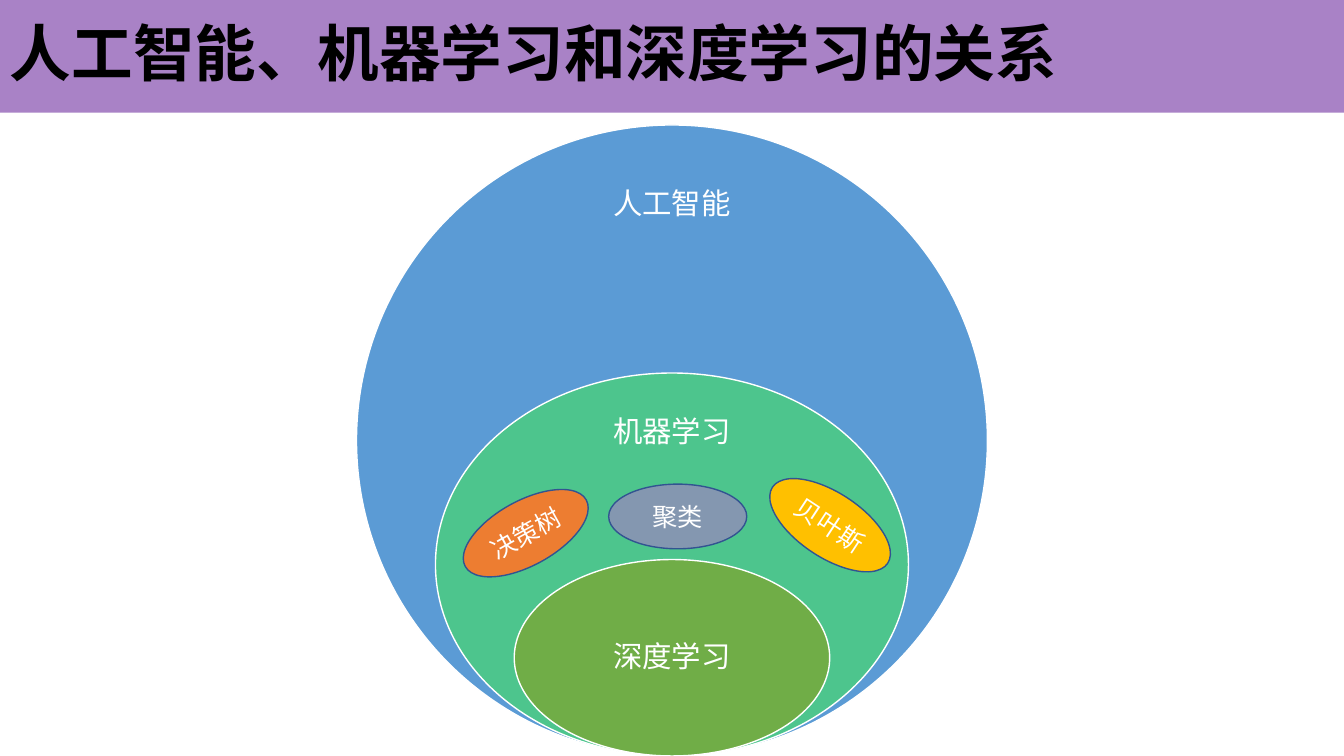
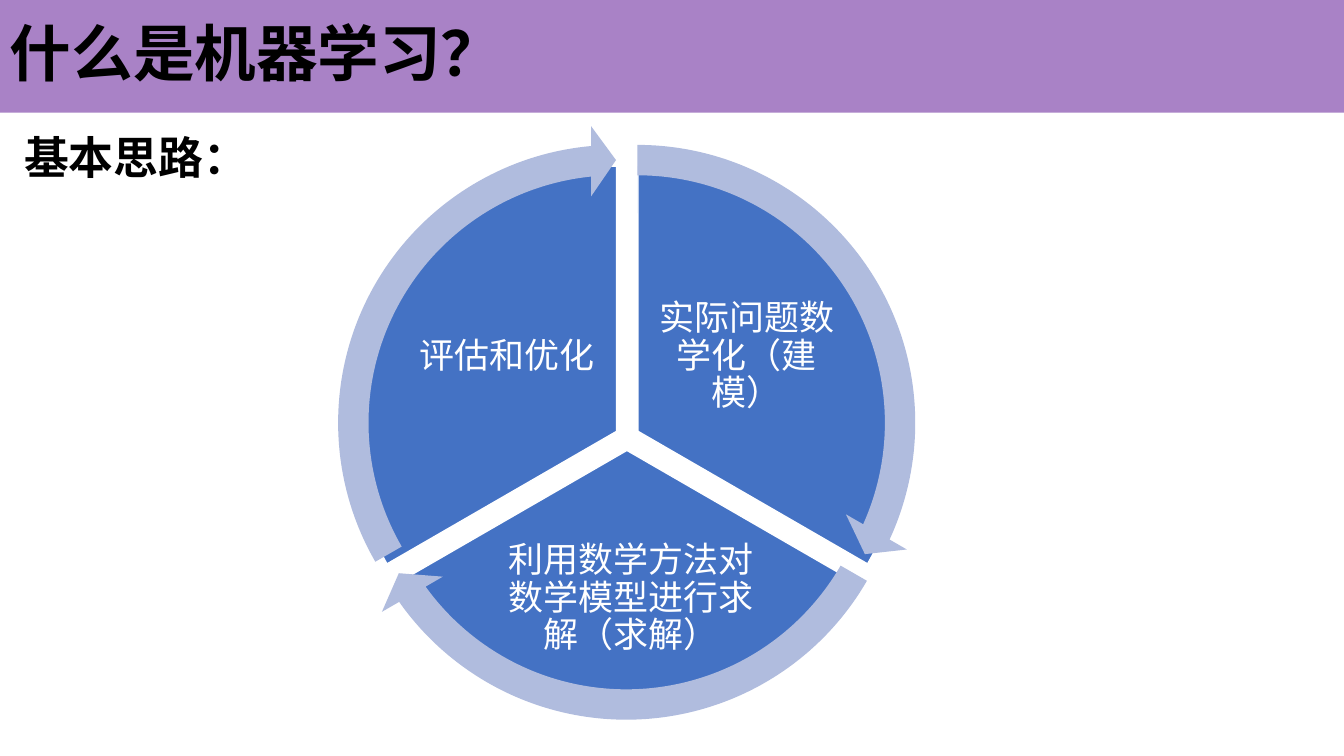
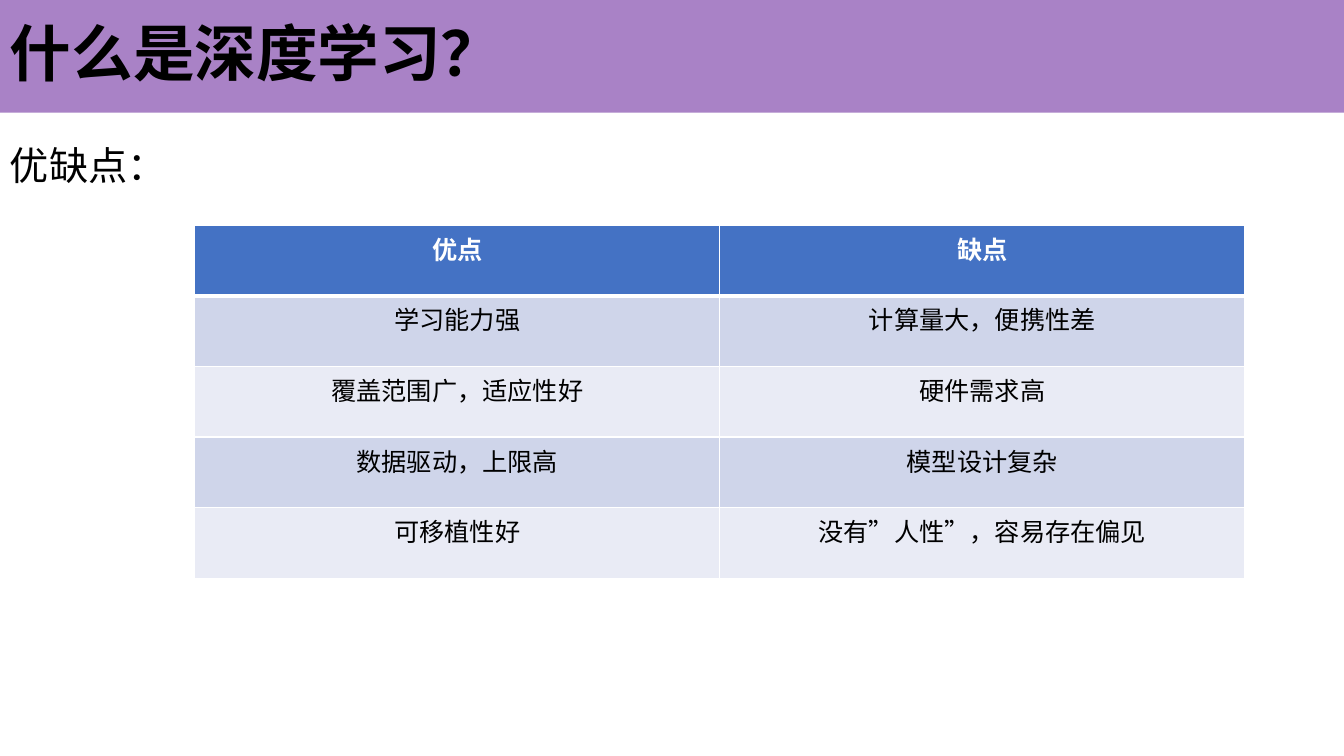
from lxml import etree
from pptx import Presentation
from pptx.dml.color import RGBColor
from pptx.enum.shapes import MSO_SHAPE
from pptx.enum.text import MSO_ANCHOR, PP_ALIGN
from pptx.oxml import parse_xml
from pptx.oxml.ns import nsdecls, qn
from pptx.util import Cm, Pt

RECTANGLE = MSO_SHAPE.RECTANGLE
ELLIPSE = MSO_SHAPE.OVAL
PIE = MSO_SHAPE.PIE
CIRCULAR_ARROW = MSO_SHAPE.CIRCULAR_ARROW
LEFT, CENTER = PP_ALIGN.LEFT, PP_ALIGN.CENTER
TOP, MIDDLE = MSO_ANCHOR.TOP, MSO_ANCHOR.MIDDLE

WIDTH, HEIGHT, BAND_HEIGHT = 33.87, 19.05, 2.84
PURPLE, BLUE, WHITE, BLACK = "7030A0", "4472C4", "FFFFFF", "000000"


def paint(fill, color):
    fill.solid()
    fill.fore_color.rgb = RGBColor.from_string(color)


def write(frame, text, size=18, color=WHITE, bold=False, font="Calibri",
          align=CENTER, anchor=MIDDLE, inset=None, line_spacing=None, space_before=0):
    frame.word_wrap = True
    frame.vertical_anchor = anchor
    if inset is not None:
        frame.margin_left = frame.margin_right = Cm(inset)
        frame.margin_top = frame.margin_bottom = Cm(inset)
    paragraph = frame.paragraphs[0]
    paragraph.alignment = align
    paragraph.space_before = Pt(space_before)
    if line_spacing:
        paragraph.line_spacing = line_spacing
    run = paragraph.add_run()
    run.text = text
    run.font.name = font
    run.font.size = Pt(size)
    run.font.bold = bold
    paint(run.font.fill, color)


presentation = Presentation()
presentation.slide_width = Cm(WIDTH)
presentation.slide_height = Cm(HEIGHT)

slides = []
for title in ["人工智能、机器学习和深度学习的关系", "什么是机器学习？", "什么是深度学习？"]:
    slide = presentation.slides.add_slide(presentation.slide_layouts[6])
    band = slide.shapes.add_shape(RECTANGLE, 0, 0, Cm(WIDTH), Cm(BAND_HEIGHT))
    paint(band.fill, PURPLE)
    band_color = band.fill._xPr.find(qn("a:solidFill"))[0]
    etree.SubElement(band_color, qn("a:alpha"), val="60000")
    band.line.fill.background()
    write(band.text_frame, title, size=44, color=BLACK, bold=True, align=LEFT, line_spacing=0.9)
    slides.append(slide)
relation_slide, learning_slide, deep_slide = slides

label_width, label_height = 5.6, 2.4
fields = [
    ("人工智能", 15.9, 15.9, 5.16, "5B9BD5"),
    ("机器学习", 11.92, 9.65, 10.91, "4DC58D"),
    ("深度学习", 7.95, 4.95, 16.57, "70AD47"),
]
for name, width, height, label_middle, color in fields:
    circle = relation_slide.shapes.add_shape(
        ELLIPSE, Cm((WIDTH - width) / 2), Cm(HEIGHT - height), Cm(width), Cm(height))
    paint(circle.fill, color)
    paint(circle.line.fill, WHITE)
    circle.line.width = Pt(1)
    label = relation_slide.shapes.add_textbox(
        Cm((WIDTH - label_width) / 2), Cm(label_middle - label_height / 2),
        Cm(label_width), Cm(label_height))
    write(label.text_frame, name, size=21, inset=0.41, line_spacing=0.9)

methods = [
    ("决策树", 11.51, 12.62, 331.2, "ED7D31"),
    ("贝叶斯", 19.18, 12.42, 33.4, "FFC000"),
    ("聚类", 15.34, 12.2, 0, "8497B0"),
]
for name, left, top, rotation, color in methods:
    method = relation_slide.shapes.add_shape(ELLIPSE, Cm(left), Cm(top), Cm(3.48), Cm(1.63))
    method.rotation = rotation
    paint(method.fill, color)
    paint(method.line.fill, "325491")
    method.line.width = Pt(1)
    write(method.text_frame, name, font="Arial", inset=0)

pie_size, arrow_size = 13.36, 15.01
steps = [
    ("实际问题数学化（建模）", 9.4, 4.19, (162, 18), (14.725, 161.994), (16.43, 7.01, 4.78, 3.96)),
    ("利用数学方法对数学模型进行求解（求解）", 9.12, 4.67, (18, 90), (86.72, 18.005),
     (12.32, 13.34, 7.16, 3.5)),
    ("评估和优化", 8.86, 4.19, (90, 162), (158.73, 90), (10.39, 7.01, 4.78, 3.96)),
]
for text, left, top, pie_angles, arrow_angles, text_box in steps:
    sector = learning_slide.shapes.add_shape(PIE, Cm(left), Cm(top), Cm(pie_size), Cm(pie_size))
    sector.adjustments[0], sector.adjustments[1] = pie_angles
    paint(sector.fill, BLUE)
    paint(sector.line.fill, WHITE)
    sector.line.width = Pt(1)
    label = learning_slide.shapes.add_textbox(*map(Cm, text_box))
    write(label.text_frame, text, size=25, inset=0.08, line_spacing=0.9)

for text, left, top, pie_angles, arrow_angles, text_box in steps:
    arrow = learning_slide.shapes.add_shape(
        CIRCULAR_ARROW, Cm(left - 0.84), Cm(top - 1.04), Cm(arrow_size), Cm(arrow_size))
    for index, value in enumerate((0.051, 3.275, *arrow_angles, 0.059)):
        arrow.adjustments[index] = value
    paint(arrow.fill, "B0BCDE")
    arrow.line.fill.background()

heading = learning_slide.shapes.add_textbox(Cm(0.36), Cm(3.15), Cm(5.69), Cm(1.63))
write(heading.text_frame, "基本思路：", size=32, color=BLACK, bold=True, align=LEFT, anchor=TOP)

body = deep_slide.shapes.add_textbox(0, Cm(BAND_HEIGHT), Cm(WIDTH), Cm(HEIGHT - BAND_HEIGHT))
write(body.text_frame, "优缺点：", size=28, color=BLACK, align=LEFT, anchor=TOP,
      line_spacing=1.5, space_before=10)

rows = [
    ("优点", "缺点"),
    ("学习能力强", "计算量大，便携性差"),
    ("覆盖范围广，适应性好", "硬件需求高"),
    ("数据驱动，上限高", "模型设计复杂"),
    ("可移植性好", "没有”人性”，容易存在偏见"),
]
table = deep_slide.shapes.add_table(
    len(rows), 2, Cm(4.91), Cm(5.67), Cm(26.46), Cm(1.78 * len(rows))).table
for row_index, row in enumerate(rows):
    is_header = row_index == 0
    row_fill = BLUE if is_header else ("E9EBF5", "CFD5EA")[row_index % 2]
    for column_index, text in enumerate(row):
        cell = table.cell(row_index, column_index)
        write(cell.text_frame, text, color=WHITE if is_header else BLACK,
              bold=is_header, anchor=TOP)
        properties = cell._tc.get_or_add_tcPr()
        for side in "LRTB":
            thick = (is_header and side == "B") or (row_index == 1 and side == "T")
            properties.append(parse_xml(
                f'<a:ln{side} {nsdecls("a")} w="{Pt(3 if thick else 1)}"><a:solidFill>'
                f'<a:srgbClr val="{WHITE}"/></a:solidFill></a:ln{side}>'))
        paint(cell.fill, row_fill)

for slide in slides:
    for shape in slide.shapes:
        if shape.has_text_frame:
            shape.shadow.inherit = False

presentation.save("out.pptx")
